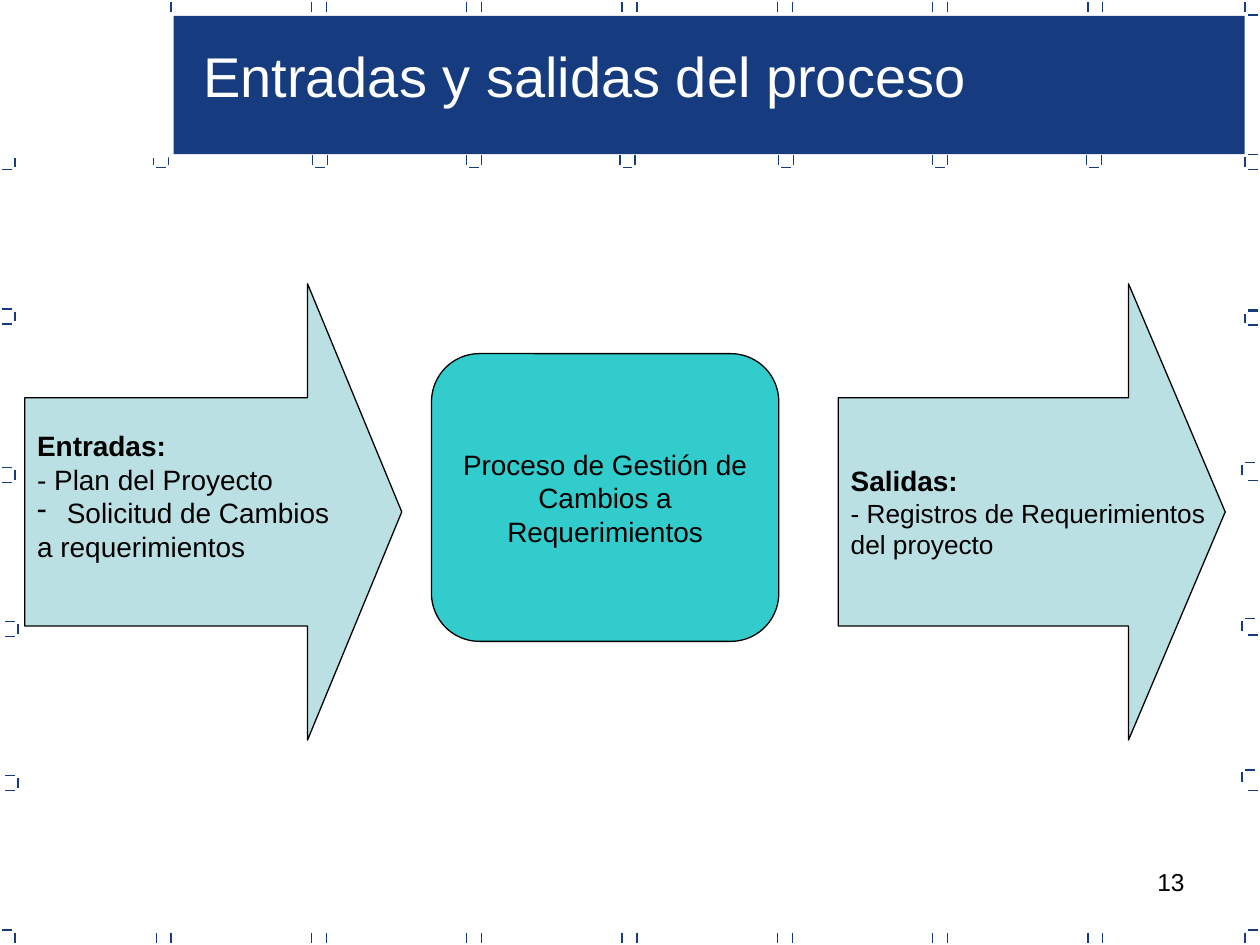
import lxml.etree
import pptx
import pptx.dml.color
import pptx.enum.shapes
import pptx.enum.text
import pptx.oxml.ns
import pptx.util

Cm = pptx.util.Cm
Pt = pptx.util.Pt
SHAPE = pptx.enum.shapes.MSO_SHAPE
ALIGN = pptx.enum.text.PP_ALIGN
ANCHOR = pptx.enum.text.MSO_ANCHOR

NAVY = pptx.dml.color.RGBColor(0x16, 0x3B, 0x7F)
PALE_BLUE = pptx.dml.color.RGBColor(0xBB, 0xE0, 0xE3)
TURQUOISE = pptx.dml.color.RGBColor(0x33, 0xCC, 0xCC)
WHITE = pptx.dml.color.RGBColor(0xFF, 0xFF, 0xFF)
BLACK = pptx.dml.color.RGBColor(0, 0, 0)

TICK = 0.2      # length of a border dash, cm
GAP = 0.05      # distance from a dash to its corner, cm
PAIR = 0.3      # distance between paired dashes, cm
STEP = 3.13     # distance between pairs along the top and bottom, cm
TOP, BOTTOM = 0.05, 18.8
RIGHT = 25.1


def add_dash(slide, x, y, dx=0, dy=0):
    dash = slide.shapes.add_connector(
        pptx.enum.shapes.MSO_CONNECTOR.STRAIGHT,
        Cm(x), Cm(y), Cm(x + dx), Cm(y + dy))
    dash.line.color.rgb = NAVY
    dash.line.width = Pt(0.75)
    lxml.etree.SubElement(dash.element.spPr, pptx.oxml.ns.qn("a:effectLst"))


def add_bracket(slide, x, y, side, upper=True, lower=True):
    """Upright dash with short arms pointing left (side -1) or right (side 1)."""
    add_dash(slide, x, y, dy=TICK)
    if upper:
        add_dash(slide, x + side * GAP, y - GAP, dx=side * TICK)
    if lower:
        add_dash(slide, x + side * GAP, y + TICK + GAP, dx=side * TICK)


def add_top_and_bottom_dashes(slide):
    for pair in range(7):
        x = 3.45 + pair * STEP
        add_dash(slide, x, TOP, dy=TICK)
        add_dash(slide, x, BOTTOM, dy=TICK)
        add_dash(slide, x - PAIR, BOTTOM, dy=TICK)
        if pair:
            add_dash(slide, x - PAIR, TOP, dy=TICK)


def add_side_brackets(slide):
    for x, y in [(0.3, 3.17), (0.3, 6.28), (0.3, 9.48), (0.36, 12.58), (0.36, 15.68)]:
        add_bracket(slide, x, y, -1)
    add_bracket(slide, 0.3, BOTTOM, -1, lower=False)

    add_bracket(slide, RIGHT, TOP, 1, upper=False)
    add_bracket(slide, RIGHT, 3.17, 1)
    for x, y in [(RIGHT, 6.32), (25.04, 9.38), (25.04, 12.52), (25.04, 15.57)]:
        add_bracket(slide, x, y, 1, lower=False)
    for y in (6.25, 6.55, 9.68, 12.8, 15.93):
        add_dash(slide, RIGHT + GAP, y, dx=TICK)
    add_bracket(slide, RIGHT, BOTTOM, 1, lower=False)


def add_cups_under_banner(slide):
    for x in (3.1, 6.3, 9.4, 12.5, 15.7, 18.8, 21.9):
        add_dash(slide, x, 3.12, dy=TICK)
        add_dash(slide, x + PAIR, 3.12, dy=TICK)
        add_dash(slide, x + GAP, 3.38, dx=TICK)


def add_block(slide, preset, box, fill, line=None, line_width=0.75):
    block = slide.shapes.add_shape(preset, *map(Cm, box))
    block.shadow.inherit = False
    block.fill.solid()
    block.fill.fore_color.rgb = fill
    if line is None:
        block.line.fill.background()
    else:
        block.line.color.rgb = line
        block.line.width = Pt(line_width)
    return block


def format_paragraph(paragraph, size, color=BLACK, bold=False, align=ALIGN.LEFT):
    paragraph.alignment = align
    paragraph.font.name = "Arial"
    paragraph.font.size = Pt(size)
    paragraph.font.bold = bold
    paragraph.font.color.rgb = color


def add_dash_bullet(paragraph):
    properties = paragraph._p.get_or_add_pPr()
    properties.set("marL", str(Cm(0.6)))
    properties.set("indent", str(-Cm(0.6)))
    bullet = lxml.etree.SubElement(properties, pptx.oxml.ns.qn("a:buChar"))
    bullet.set("char", "-")


def add_arrow(slide, left, width, heading, items, size, bottom_inset=0.13):
    """Arrow with a bold heading over items, each a (text, bulleted) pair."""
    arrow = add_block(slide, SHAPE.RIGHT_ARROW, (left, 5.72, width, 9.2),
                      PALE_BLUE, BLACK)
    arrow.adjustments[0] = 0.5
    arrow.adjustments[1] = 0.25
    frame = arrow.text_frame
    frame.word_wrap = False
    frame.vertical_anchor = ANCHOR.MIDDLE
    frame.margin_bottom = Cm(bottom_inset)
    frame.text = heading
    format_paragraph(frame.paragraphs[0], 16, bold=True)
    for text, bulleted in items:
        paragraph = frame.add_paragraph()
        paragraph.text = text
        if bulleted:
            add_dash_bullet(paragraph)
        format_paragraph(paragraph, size)


def add_process(slide, text):
    process = add_block(slide, SHAPE.ROUNDED_RECTANGLE, (8.7, 7.13, 7, 5.8),
                        TURQUOISE, BLACK)
    frame = process.text_frame
    frame.word_wrap = True
    frame.vertical_anchor = ANCHOR.MIDDLE
    frame.text = text
    format_paragraph(frame.paragraphs[0], 16, align=ALIGN.CENTER)


def place_title(slide, text):
    title = slide.shapes.title
    title.left, title.top, title.width, title.height = map(Cm, (3.84, 0.71, 17.27, 1.63))
    frame = title.text_frame
    frame.text = text
    frame.word_wrap = True
    frame.auto_size = pptx.enum.text.MSO_AUTO_SIZE.NONE
    frame.vertical_anchor = ANCHOR.TOP
    format_paragraph(frame.paragraphs[0], 32, WHITE)
    # The title must lie in front of the banner.
    title.element.getparent().append(title.element)


def add_page_number(slide, number):
    box = slide.shapes.add_textbox(Cm(18.2), Cm(17.35), Cm(5.93), Cm(1.32))
    box.text_frame.word_wrap = True
    box.text_frame.text = number
    format_paragraph(box.text_frame.paragraphs[0], 14, align=ALIGN.RIGHT)


def main():
    presentation = pptx.Presentation()
    presentation.slide_width = Cm(25.4)
    presentation.slide_height = Cm(19.05)
    slide = presentation.slides.add_slide(presentation.slide_layouts[5])

    add_page_number(slide, "13")
    add_top_and_bottom_dashes(slide)
    add_block(slide, SHAPE.RECTANGLE, (3.5, 0.32, 21.59, 2.79), NAVY)
    add_side_brackets(slide)
    add_cups_under_banner(slide)
    add_block(slide, SHAPE.RECTANGLE, (0, -0.03, 3.38, 3.18), WHITE, WHITE, 2)
    place_title(slide, "Entradas y salidas del proceso")

    add_arrow(slide, 0.5, 7.6, "Entradas:",
              [("- Plan del Proyecto", False),
               ("Solicitud de Cambios", True),
               ("a requerimientos", False)], 16, bottom_inset=0.78)
    add_process(slide, "Proceso de Gestión de Cambios a Requerimientos")
    add_arrow(slide, 16.9, 7.8, "Salidas:",
              [("- Registros de Requerimientos", False),
               ("del proyecto", False)], 15)

    presentation.save("out.pptx")


if __name__ == "__main__":
    main()
